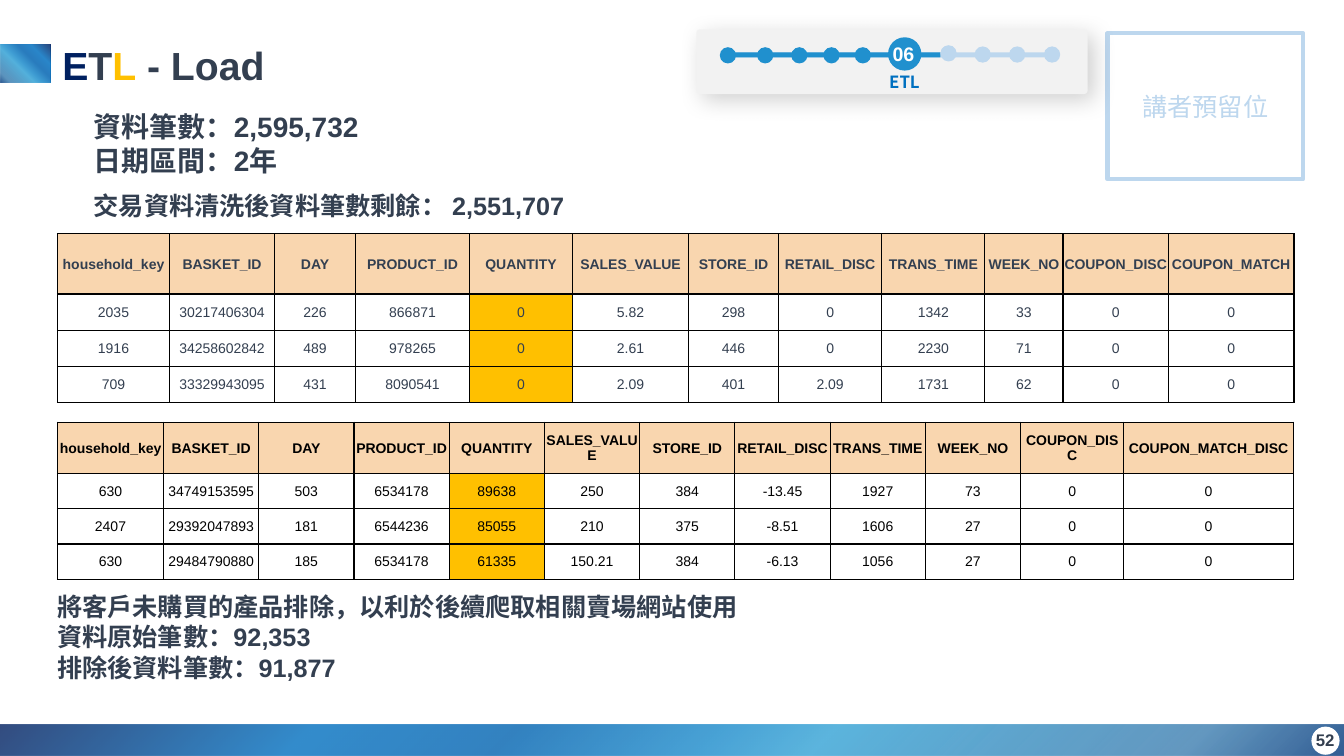
"""Build the ETL load slide with its two transaction tables and progress tracker."""
from lxml import etree
from pptx import Presentation
from pptx import util as u
from pptx.dml.color import RGBColor
from pptx.enum import shapes, text
from pptx.oxml.ns import qn

NAVY = RGBColor(0x00, 0x20, 0x60)
SLATE = RGBColor(0x33, 0x3F, 0x50)
GOLD = RGBColor(0xFF, 0xC0, 0x00)
PEACH = RGBColor(0xF9, 0xD6, 0xAF)
PALE = RGBColor(0xBD, 0xD7, 0xEE)
BRIGHT = RGBColor(0x20, 0x90, 0xCE)
BLUE = RGBColor(0x00, 0x70, 0xC0)
PANEL = RGBColor(0xF2, 0xF2, 0xF2)
WHITE = RGBColor(0xFF, 0xFF, 0xFF)
BLACK = RGBColor(0x00, 0x00, 0x00)
GRADIENT = [(0, "002060", 100), (23, "0070C0", 100), (38, "0063B1", 100), (53, "1C8CCC", 100),
            (61, "34A3D6", 100), (88, "1766A2", 83), (100, "003478", 100)]
RECT, OVAL, ROUND = (shapes.MSO_SHAPE.RECTANGLE, shapes.MSO_SHAPE.OVAL,
                     shapes.MSO_SHAPE.ROUNDED_RECTANGLE)
CENTER, RIGHT = text.PP_ALIGN.CENTER, text.PP_ALIGN.RIGHT
MIDDLE = text.MSO_ANCHOR.MIDDLE
GROW = text.MSO_AUTO_SIZE.SHAPE_TO_FIT_TEXT

TITLE = [[("E", NAVY), ("T", SLATE), ("L", GOLD), (" - Load", SLATE)]]
SUMMARY = [[("資料筆數：2,595,732", SLATE)], [("日期區間：2年", SLATE)]]
CLEANED = [[("交易資料清洗後資料筆數剩餘： 2,551,707", SLATE)]]
PRODUCTS = [[("將客戶未購買的產品排除，以利於後續爬取相關賣場網站使用", SLATE)],
            [("資料原始筆數：92,353", SLATE)],
            [("排除後資料筆數：91,877", SLATE)]]
COLUMNS = ["household_key", "BASKET_ID", "DAY", "PRODUCT_ID", "QUANTITY", "SALES_VALUE",
           "STORE_ID", "RETAIL_DISC", "TRANS_TIME", "WEEK_NO", "COUPON_DISC"]
TABLES = [
    {"top": 5.89, "color": SLATE, "heights": [1.52] + [0.91] * 3,
     "widths": [2.82, 2.65, 2.04, 2.87, 2.6, 2.92, 2.27, 2.6, 2.6, 1.97, 2.65, 3.17],
     "rows": [
         COLUMNS + ["COUPON_MATCH"],
         ["2035", "30217406304", "226", "866871", "0", "5.82", "298", "0", "1342", "33", "0", "0"],
         ["1916", "34258602842", "489", "978265", "0", "2.61", "446", "0", "2230", "71", "0", "0"],
         ["709", "33329943095", "431", "8090541", "0", "2.09", "401", "2.09", "1731", "62", "0", "0"]]},
    {"top": 10.64, "color": BLACK, "heights": [1.29] + [0.89] * 3,
     "widths": [2.67] + [2.4] * 9 + [2.6, 4.27],
     "rows": [
         COLUMNS + ["COUPON_MATCH_DISC"],
         ["630", "34749153595", "503", "6534178", "89638", "250", "384", "-13.45", "1927", "73", "0", "0"],
         ["2407", "29392047893", "181", "6544236", "85055", "210", "375", "-8.51", "1606", "27", "0", "0"],
         ["630", "29484790880", "185", "6534178", "61335", "150.21", "384", "-6.13", "1056", "27", "0", "0"]]},
]
DOTS = ([(left, 1.19, BRIGHT) for left in (18.14, 19.08, 19.94, 20.75, 21.54)]
        + [(23.7, 1.14, PALE)]
        + [(left, 1.17, PALE) for left in (24.56, 25.43, 26.31)])


def apply(target, values):
    for name, value in values.items():
        setattr(target, name, value)


def add_color(parent, color, alpha):
    node = etree.SubElement(parent, qn("a:srgbClr"), val=str(color))
    if alpha < 100:
        etree.SubElement(node, qn("a:alpha"), val=str(alpha * 1000))


def add_block(parent, kind, place, color=None, alpha=100):
    shape = parent.add_shape(kind, *map(u.Cm, place))
    shape.shadow.inherit = False
    shape.line.fill.background()
    if color is None:
        shape.fill.background()
        return shape
    shape.fill.solid()
    shape.fill.fore_color.rgb = color
    if alpha < 100:
        node = shape._element.spPr.find(qn("a:solidFill"))[0]
        etree.SubElement(node, qn("a:alpha"), val=str(alpha * 1000))
    return shape


def add_gradient(parent, place, rotation=0):
    shape = add_block(parent, RECT, place)
    shape.rotation = rotation
    shape.fill.gradient()
    shape.fill.gradient_angle = 315
    stops = shape._element.spPr.find(".//" + qn("a:gsLst"))
    for stop in list(stops):
        stops.remove(stop)
    for position, color, alpha in GRADIENT:
        add_color(etree.SubElement(stops, qn("a:gs"), pos=str(position * 1000)), color, alpha)


def write(frame, paragraphs, size, bold=True, font="Arial", **layout):
    for index, runs in enumerate(paragraphs):
        paragraph = frame.paragraphs[0] if index == 0 else frame.add_paragraph()
        apply(paragraph, layout)
        for words, color in runs:
            run = paragraph.add_run()
            run.text = words
            apply(run.font, {"size": u.Pt(size), "bold": bold, "name": font})
            run.font.color.rgb = color


def add_text(parent, place, paragraphs, size, frame_values=None, **layout):
    frame = parent.add_textbox(*map(u.Cm, place)).text_frame
    apply(frame, {"word_wrap": True, **(frame_values or {})})
    write(frame, paragraphs, size, **layout)


def add_data_table(slide, data):
    rows, widths, heights = data["rows"], data["widths"], data["heights"]
    place = (1.45, data["top"], sum(widths), sum(heights))
    table = slide.shapes.add_table(len(rows), len(widths), *map(u.Cm, place)).table
    for column, width in zip(table.columns, widths):
        column.width = u.Cm(width)
    for row, height in zip(table.rows, heights):
        row.height = u.Cm(height)
    for r, values in enumerate(rows):
        for c, value in enumerate(values):
            cell = table.cell(r, c)
            apply(cell, {"margin_left": u.Cm(0.02), "margin_right": u.Cm(0.02),
                         "margin_top": u.Cm(0.02), "margin_bottom": 0,
                         "vertical_anchor": MIDDLE})
            for side in ("a:lnL", "a:lnR", "a:lnT", "a:lnB"):
                border = etree.SubElement(cell._tc.get_or_add_tcPr(), qn(side), w=str(u.Pt(1)))
                add_color(etree.SubElement(border, qn("a:solidFill")), BLACK, 100)
            cell.fill.solid()
            cell.fill.fore_color.rgb = PEACH if r == 0 else GOLD if c == 4 else WHITE
            write(cell.text_frame, [[(value, data["color"])]], 10, bold=r == 0, alignment=CENTER)


def add_background(slide):
    parent = slide.shapes
    reserved = add_block(parent, RECT, (27.91, 0.84, 4.93, 3.68))
    reserved.line.color.rgb = PALE
    reserved.line.width = u.Pt(3)
    reserved.text_frame.vertical_anchor = MIDDLE
    write(reserved.text_frame, [[("講者預留位", PALE)]], 18, bold=False, alignment=CENTER)
    add_gradient(parent, (0, 18.26, 33.87, 0.79))
    add_gradient(parent, (0.15, 0.97, 0.97, 1.27), 90)
    add_block(parent, RECT, (0, 18.26, 33.87, 0.79), WHITE, 20)
    add_block(parent, RECT, (0, 1.12, 1.27, 0.97), WHITE, 16)
    add_block(parent, OVAL, (33.05, 18.31, 0.71, 0.71), WHITE)


def add_tracker(slide):
    parent = slide.shapes.add_group_shape().shapes
    panel = add_block(parent, ROUND, (17.55, 0.74, 9.86, 1.63), PANEL)
    panel.adjustments[0] = 0.055
    shadow = etree.SubElement(panel._element.spPr.find(qn("a:effectLst")), qn("a:outerShdw"),
                              blurRad=str(u.Pt(17)), dist=str(u.Pt(6)), dir="2700000",
                              algn="tl", rotWithShape="0")
    add_color(shadow, BLACK, 18)
    add_block(parent, RECT, (18.47, 1.32, 8.2, 0.13), PALE)
    add_block(parent, RECT, (18.39, 1.32, 5.31, 0.13), BRIGHT)
    add_block(parent, OVAL, (22.38, 0.94, 0.84, 0.84), BRIGHT)
    for left, top, color in DOTS:
        add_block(parent, OVAL, (left, top, 0.41, 0.41), color)
    label = {"alignment": CENTER, "line_spacing": 0.9}
    add_text(parent, (21.08, 0.99, 3.38, 1.3), [[("06", WHITE)]], 14, **label)
    add_text(parent, (21.64, 1.75, 2.31, 0.89), [[("ETL", BLUE)]], 12,
             font="Noto Sans CJK SC", **label)


def main():
    presentation = Presentation()
    presentation.slide_width, presentation.slide_height = u.Cm(33.87), u.Cm(19.05)
    slide = presentation.slides.add_slide(presentation.slide_layouts[6])
    add_background(slide)
    for data in TABLES:
        add_data_table(slide, data)
    for place, paragraphs, size in [((2.11, 2.64, 14.38, 1.96), SUMMARY, 20),
                                    ((2.11, 4.67, 26.31, 1.02), CLEANED, 18),
                                    ((1.19, 14.78, 21.89, 2.64), PRODUCTS, 18),
                                    ((1.32, 0.91, 14.91, 1.45), TITLE, 28)]:
        add_text(slide.shapes, place, paragraphs, size, {"auto_size": GROW})
    add_tracker(slide)
    add_text(slide.shapes, (26.26, 18.14, 7.62, 1.02), [[("52", SLATE)]], 12,
             {"vertical_anchor": MIDDLE}, alignment=RIGHT)
    presentation.save("out.pptx")


if __name__ == "__main__":
    main()
